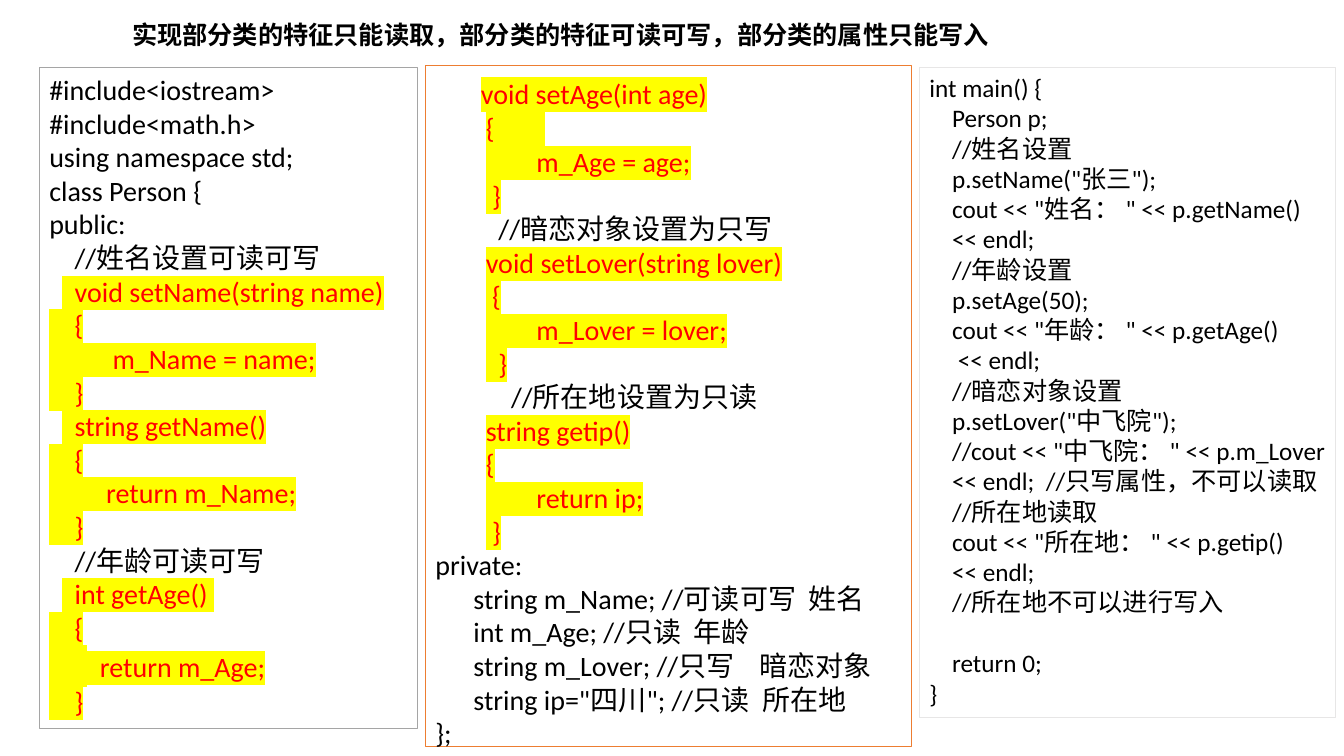
from dataclasses import dataclass

from lxml.etree import SubElement
from pptx import Presentation
from pptx.dml.color import RGBColor
from pptx.enum.shapes import MSO_SHAPE
from pptx.enum.text import MSO_ANCHOR, MSO_AUTO_SIZE, PP_ALIGN
from pptx.oxml.ns import qn
from pptx.util import Inches, Pt

COLORS = {"text": "000000", "accessor": "FF0000", "marker": "FFFF00",
          "gray": "A5A5A5", "orange": "ED7D31", "light": "E7E6E6"}
FONT = "Calibri"
TITLE = "实现部分类的特征只能读取，部分类的特征可读可写，部分类的属性只能写入"


@dataclass
class Code:
    """A piece of a code line, with its marking and an optional size."""
    text: str
    marked: bool = False
    size: int = 0


def marked(text, size=0):
    """Return a highlighted piece of code."""
    return Code(text, True, size)


NAME_AND_AGE = [
    "#include<iostream>",
    "#include<math.h>",
    "using namespace std;",
    "class Person {",
    "public:",
    "    //姓名设置可读可写",
    ("  ", marked("  void setName(string name)")),
    marked("    {"),
    marked("          m_Name = name;"),
    marked("    }"),
    ("  ", marked("  string getName()")),
    marked("    {"),
    marked("         return m_Name;"),
    marked("    }"),
    "    //年龄可读可写",
    ("  ", marked("  int getAge() ")),
    marked("    {"),
    (marked("     ", 24), marked("  return m_Age;")),
    marked("    }"),
]
SET_AGE = [(Code("      ", size=24), marked("void setAge(int age)"))]
LOVER_AND_PLACE = [
    marked("{        "),
    marked("        m_Age = age;"),
    marked(" }"),
    "  //暗恋对象设置为只写",
    marked("void setLover(string lover)"),
    marked(" {"),
    marked("        m_Lover = lover;"),
    marked("  }"),
    "    //所在地设置为只读",
    marked("string getip()"),
    marked("{"),
    marked("        return ip;"),
    marked(" }"),
]
PRIVATE_MEMBERS = [
    "private:",
    "      string m_Name; //可读可写  姓名",
    "      int m_Age; //只读  年龄",
    "      string m_Lover; //只写    暗恋对象",
    "      string ip=\"四川\"; //只读  所在地",
    "};",
]
MAIN_START = [
    "int main() {",
    "    Person p;",
    "    //姓名设置",
    "    p.setName(\"张三\");",
    "    cout << \"姓名： \" << p.getName()",
    "    << endl;",
    "    //年龄设置",
    "    p.setAge(50);",
    "    cout << \"年龄： \" << p.getAge()",
    "     << endl;",
    "    //暗恋对象设置",
    "    p.setLover(\"中飞院\");",
    "    //cout << \"中飞院： \" << p.m_Lover",
    "    << endl;  //只写属性，不可以读取",
    "    //所在地读取",
    "    cout << \"所在地： \" << p.getip()",
    "    << endl;",
    "    //所在地不可以进行写入",
]
MAIN_END = ["    return 0;", "}"]


def set_attributes(target, values):
    """Set each named attribute of the target."""
    for name, value in values.items():
        setattr(target, name, value)


def add_run(paragraph, code, size):
    """Add one run of code, highlighted when it is marked."""
    run = paragraph.add_run()
    run.text = code.text
    set_attributes(run.font, {"name": FONT, "size": Pt(code.size or size)})
    color = COLORS["accessor" if code.marked else "text"]
    run.font.color.rgb = RGBColor.from_string(color)
    if code.marked:
        properties = run.font._element
        highlight = SubElement(properties, qn("a:highlight"))
        SubElement(highlight, qn("a:srgbClr"), val=COLORS["marker"])
        properties.find(qn("a:solidFill")).addnext(highlight)


def add_lines(frame, lines, size, indent=0, space_before=0):
    """Append code lines, with a gap above the first and a shared indent."""
    for index, line in enumerate(lines):
        empty = not frame.paragraphs[0].runs
        paragraph = frame.paragraphs[0] if empty else frame.add_paragraph()
        paragraph.alignment = PP_ALIGN.LEFT
        if index == 0 and space_before:
            paragraph.space_before = Pt(space_before)
        if indent:
            paragraph._p.get_or_add_pPr().set("marL", str(Inches(indent)))
        for piece in line if isinstance(line, tuple) else (line,):
            code = Code(piece) if isinstance(piece, str) else piece
            add_run(paragraph, code, size)


def add_code_box(slide, box, color):
    """Add an outlined box and return its text frame."""
    shape = slide.shapes.add_shape(MSO_SHAPE.RECTANGLE, *map(Inches, box))
    shape.shadow.inherit = False
    shape.fill.background()
    shape.line.color.rgb = RGBColor.from_string(COLORS[color])
    shape.line.width = Pt(0.75)
    set_attributes(shape.text_frame, {
        "word_wrap": True, "vertical_anchor": MSO_ANCHOR.TOP})
    return shape.text_frame


def format_title(slide):
    """Place and fill the title placeholder."""
    title = slide.shapes.title
    set_attributes(title, {"left": Inches(1.21), "top": Inches(0.14),
                           "width": Inches(10.78), "height": Inches(0.4)})
    set_attributes(title.text_frame, {
        "text": TITLE, "word_wrap": True, "auto_size": MSO_AUTO_SIZE.NONE,
        "vertical_anchor": MSO_ANCHOR.TOP})
    paragraph = title.text_frame.paragraphs[0]
    paragraph.alignment = PP_ALIGN.LEFT
    font = paragraph.runs[0].font
    set_attributes(font, {"name": FONT, "size": Pt(18), "bold": True})
    font.color.rgb = RGBColor.from_string(COLORS["text"])


def main():
    """Build the slide and save it."""
    presentation = Presentation()
    set_attributes(presentation, {"slide_width": Inches(13.33),
                                  "slide_height": Inches(7.5)})
    slide = presentation.slides.add_slide(presentation.slide_layouts[5])
    format_title(slide)

    left = add_code_box(slide, (0.39, 0.67, 3.75, 6.56), "gray")
    add_lines(left, NAME_AND_AGE, 20)

    middle = add_code_box(slide, (4.22, 0.65, 4.82, 6.76), "orange")
    add_lines(middle, SET_AGE, 20)
    add_lines(middle, LOVER_AND_PLACE, 20, indent=0.5)
    add_lines(middle, PRIVATE_MEMBERS, 20)

    right = add_code_box(slide, (9.12, 0.67, 4.13, 6.45), "light")
    add_lines(right, MAIN_START, 18)
    add_lines(right, MAIN_END, 18, space_before=22)

    presentation.save("out.pptx")


if __name__ == "__main__":
    main()
